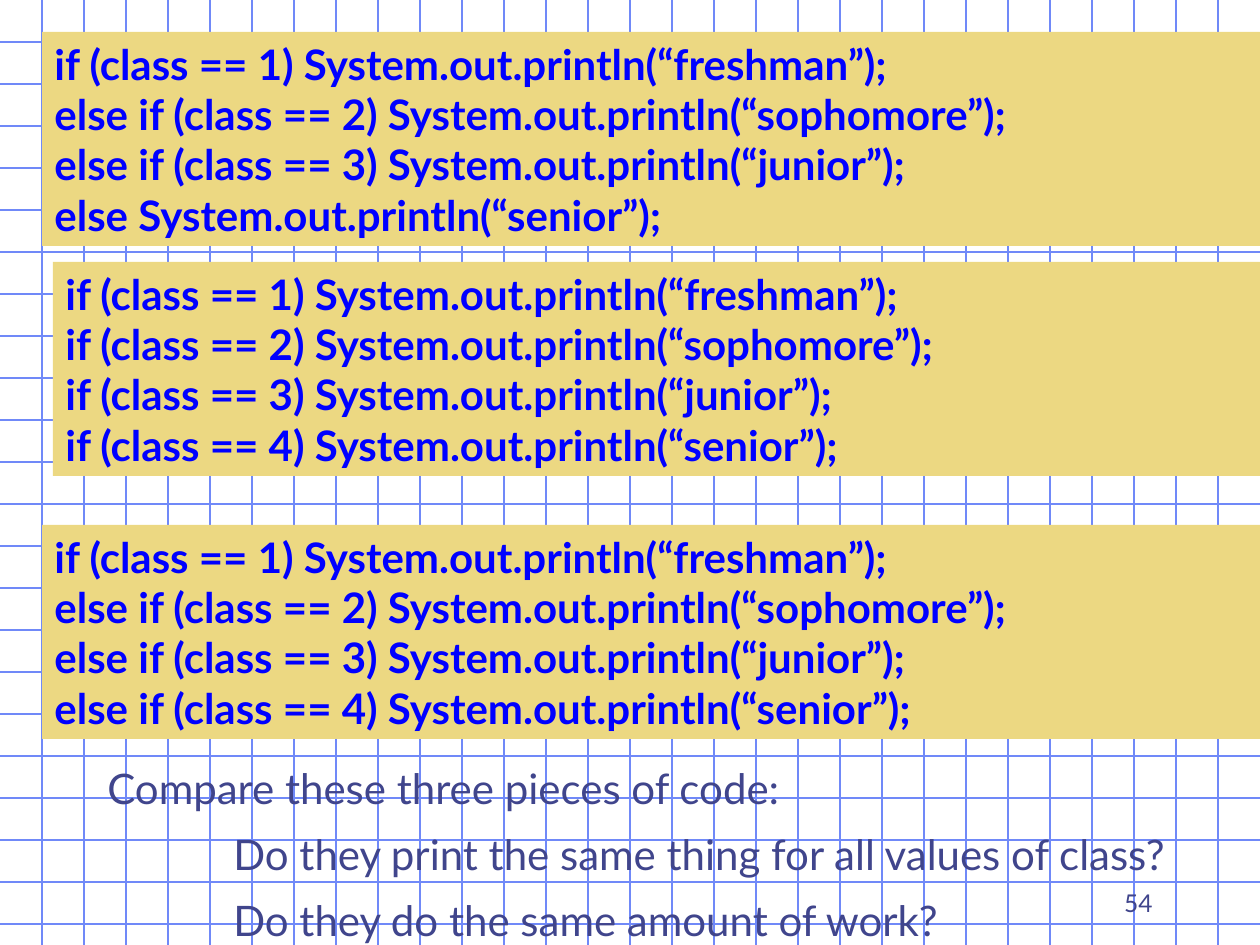
import pptx
import pptx.util
import pptx.dml.color
import pptx.enum.shapes
import pptx.enum.text
import pptx.oxml.ns
from lxml import etree

SCALE = 914400 / 126
WIDTH, HEIGHT, CELL = 1260, 945, 42
ALIGN = pptx.enum.text.PP_ALIGN
ANCHOR = pptx.enum.text.MSO_ANCHOR
FIT = pptx.enum.text.MSO_AUTO_SIZE


def px(*nums):
    """Turn px lengths into EMU."""
    return [pptx.util.Emu(round(num * SCALE)) for num in nums]


def color(code):
    return pptx.dml.color.RGBColor.from_string(code)


class Deck:
    """Holds the style and the current slide."""

    font = "Lato"
    ink = "40458C"
    code_ink = "0000FF"
    panel = "ECD882"
    rule = "7089F8"
    edge = "6F89F7"

    def __init__(self):
        self.prs = pptx.Presentation()
        self.prs.slide_width, self.prs.slide_height = px(WIDTH, HEIGHT)
        self.slide = self.prs.slides.add_slide(self.prs.slide_layouts[6])
        fill = self.slide.background.fill
        fill.solid()
        fill.fore_color.rgb = color("FFFFFF")

    def line(self, x1, y1, x2, y2, code):
        kind = pptx.enum.shapes.MSO_CONNECTOR.STRAIGHT
        line = self.slide.shapes.add_connector(kind, *px(x1, y1, x2, y2))
        line.line.color.rgb = color(code)
        line.line.width = pptx.util.Pt(0.75)
        etree.SubElement(line._element.spPr, pptx.oxml.ns.qn("a:effectLst"))

    def grid(self):
        for y in range(CELL, HEIGHT - CELL // 2 + 1, CELL):
            self.line(0, y, WIDTH, y, self.rule)
        for x in range(CELL, WIDTH, CELL):
            self.line(x, 0, x, HEIGHT, self.rule)

    def label(self, shape, lines, size, code, bold=False, align=ALIGN.LEFT, gap=0):
        """Fill a shape with one paragraph per line; gap is the space between."""
        frame = shape.text_frame
        frame.word_wrap = True
        frame.text = "\n".join(lines)
        for i, para in enumerate(frame.paragraphs):
            para.alignment = align
            para.space_before = pptx.util.Pt(gap if i else 0)
            for run in para.runs:
                run.font.name = self.font
                run.font.size = pptx.util.Pt(size)
                run.font.bold = bold
                run.font.color.rgb = color(code)
        return frame

    def code(self, x, y, lines):
        """Draw a code panel that runs to the right edge of the slide."""
        kind = pptx.enum.shapes.MSO_SHAPE.RECTANGLE
        box = self.slide.shapes.add_shape(kind, *px(x, y, WIDTH - x, 214))
        box.shadow.inherit = False
        box.fill.solid()
        box.fill.fore_color.rgb = color(self.panel)
        box.line.fill.background()
        frame = self.label(box, lines, 24, self.code_ink, bold=True)
        frame.vertical_anchor = ANCHOR.TOP
        frame.auto_size = FIT.SHAPE_TO_FIT_TEXT

    def tasks(self, x, y, w, h, lead, items):
        """Place a lead line with indented questions under it."""
        box = self.slide.shapes.add_textbox(*px(x, y, w, h))
        frame = self.label(box, [lead, *items], 24, self.ink, gap=9)
        frame.auto_size = FIT.SHAPE_TO_FIT_TEXT
        for para in frame.paragraphs[1:]:
            para._p.get_or_add_pPr().set("marL", str(pptx.util.Inches(1)))

    def number(self, x, y, w, h, text):
        box = self.slide.shapes.add_textbox(*px(x, y, w, h))
        frame = self.label(box, [text], 14, self.ink, align=ALIGN.RIGHT)
        frame.vertical_anchor = ANCHOR.BOTTOM


def main():
    first = "if (class == 1) System.out.println(“freshman”);"
    rest = [
        "if (class == 2) System.out.println(“sophomore”);",
        "if (class == 3) System.out.println(“junior”);",
        "if (class == 4) System.out.println(“senior”);",
    ]
    chain = [first] + ["else " + line for line in rest]
    final = "else System.out.println(“senior”);"

    deck = Deck()
    deck.grid()
    deck.line(1218, 0, 1218, 325, deck.edge)
    deck.line(84, 195, 84, 515, deck.edge)
    deck.code(42, 32, chain[:-1] + [final])
    deck.code(53, 262, [first] + rest)
    deck.tasks(95, 756, 1134, 246, "Compare these three pieces of code:", [
        "Do they print the same thing for all values of class?",
        "Do they do the same amount of work?",
    ])
    deck.code(42, 525, chain)
    deck.number(903, 861, 262, 63, "54")
    deck.prs.save("out.pptx")


if __name__ == "__main__":
    main()
